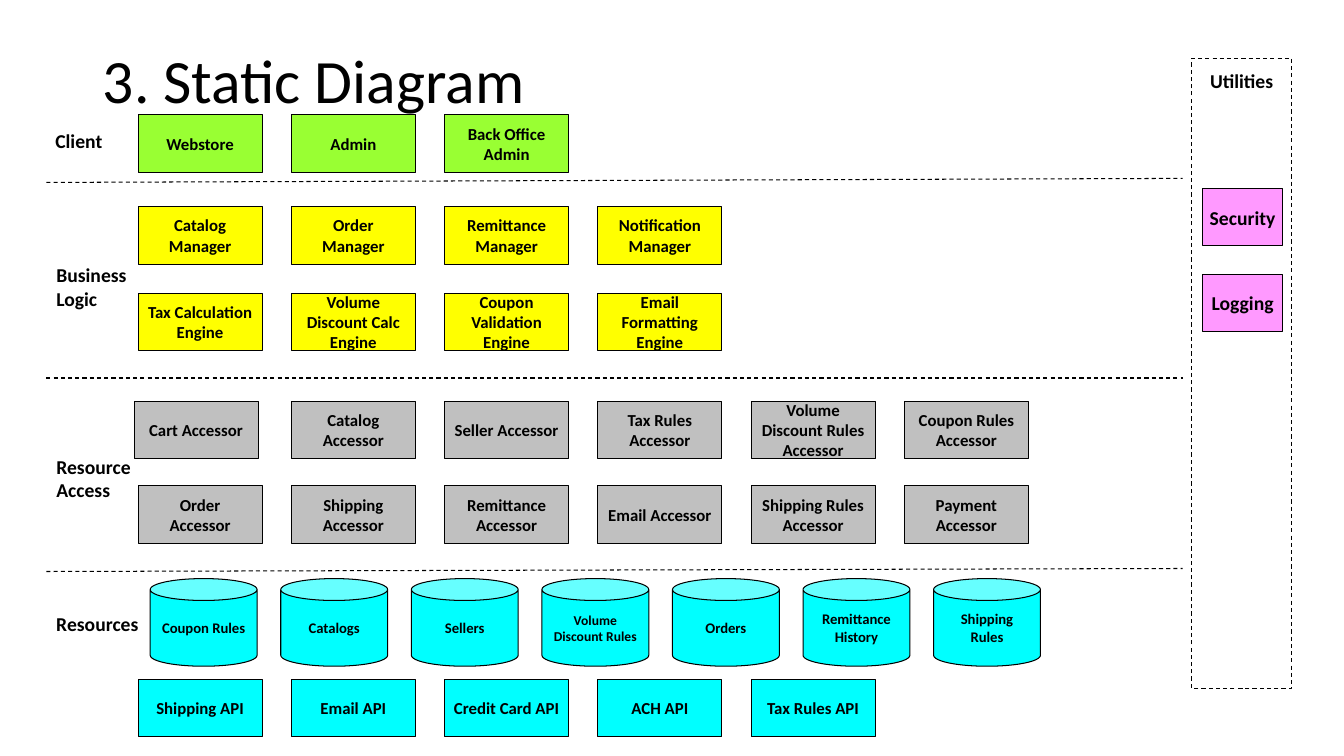
from dataclasses import dataclass

from lxml.etree import SubElement
from pptx import Presentation
from pptx.dml.color import RGBColor
from pptx.enum.dml import MSO_LINE
from pptx.enum.shapes import MSO_CONNECTOR, MSO_SHAPE
from pptx.enum.text import MSO_ANCHOR, MSO_AUTO_SIZE, PP_ALIGN
from pptx.oxml.ns import qn
from pptx.util import Inches, Pt


@dataclass(frozen=True)
class Theme:
    font: str = "Calibri"
    ink: RGBColor = RGBColor(0, 0, 0)
    client: RGBColor = RGBColor(0x99, 0xFF, 0x33)
    logic: RGBColor = RGBColor(0xFF, 0xFF, 0x00)
    access: RGBColor = RGBColor(0xC0, 0xC0, 0xC0)
    resource: RGBColor = RGBColor(0x00, 0xFF, 0xFF)
    utility: RGBColor = RGBColor(0xFF, 0x99, 0xFF)
    title_size: float = 44
    label_size: float = 14
    box_size: float = 12
    store_size: float = 10.5
    small_store_size: float = 9.7
    line_width: float = 0.75


theme = Theme()


def write(frame, text, size, bold=True, align=PP_ALIGN.LEFT):
    frame.text = text
    for para in frame.paragraphs:
        para.alignment = align
        for span in para.runs:
            span.font.name = theme.font
            span.font.size = Pt(size)
            span.font.bold = bold
            span.font.color.rgb = theme.ink


def add_box(kind, left, top, width, height, fill, text, size, wrap=True):
    box = page.shapes.add_shape(kind, Inches(left), Inches(top), Inches(width), Inches(height))
    box.shadow.inherit = False
    if fill is None:
        box.fill.background()
    else:
        box.fill.solid()
        box.fill.fore_color.rgb = fill
    box.line.color.rgb = theme.ink
    box.line.width = Pt(theme.line_width)
    frame = box.text_frame
    frame.word_wrap = wrap
    frame.vertical_anchor = MSO_ANCHOR.MIDDLE
    frame.margin_left = frame.margin_right = Pt(6.7)
    write(frame, text, size, align=PP_ALIGN.CENTER)
    return box


deck = Presentation()
deck.slide_width = Inches(13.33)
deck.slide_height = Inches(7.5)
page = deck.slides.add_slide(deck.slide_layouts[5])

title = page.shapes.title
title.left, title.top = Inches(0.92), Inches(0.4)
title.width, title.height = Inches(11.5), Inches(0.85)
title.text_frame.auto_size = MSO_AUTO_SIZE.NONE
title.text_frame.vertical_anchor = MSO_ANCHOR.MIDDLE
write(title.text_frame, "3. Static Diagram", theme.title_size, bold=False)
title.text_frame.paragraphs[0].line_spacing = 0.9

for start, end in [(1.81, 1.77), (3.75, 3.75), (5.67, 5.64)]:
    divider = page.shapes.add_connector(
        MSO_CONNECTOR.STRAIGHT, Inches(0.46), Inches(start), Inches(11.73), Inches(end)
    )
    divider.line.color.rgb = theme.ink
    divider.line.width = Pt(theme.line_width)
    divider.line.dash_style = MSO_LINE.DASH
    SubElement(divider.element.spPr, qn("a:effectLst"))

layer_labels = [
    ("Client", 0.45, 1.23, 0.68, 0.34),
    ("Business\nLogic", 0.46, 2.56, 0.91, 0.57),
    ("Resource\nAccess", 0.46, 4.46, 0.95, 0.57),
    ("Resources", 0.46, 6.02, 1.03, 0.34),
]
for text, left, top, width, height in layer_labels:
    label = page.shapes.add_textbox(Inches(left), Inches(top), Inches(width), Inches(height))
    label.text_frame.word_wrap = False
    label.text_frame.auto_size = MSO_AUTO_SIZE.SHAPE_TO_FIT_TEXT
    write(label.text_frame, text, theme.label_size)

utilities = add_box(
    MSO_SHAPE.RECTANGLE, 11.82, 0.58, 0.99, 6.25, None, "Utilities", theme.label_size, False
)
utilities.line.dash_style = MSO_LINE.DASH
utilities.text_frame.vertical_anchor = MSO_ANCHOR.TOP
utilities.text_frame.margin_top = Inches(0.1)
for top, name in [(1.87, "Security"), (2.72, "Logging")]:
    add_box(
        MSO_SHAPE.RECTANGLE, 11.93, top, 0.79, 0.57, theme.utility, name, theme.label_size, False
    )

component_rows = [
    (1.14, theme.client, ["Webstore", "Admin", "Back Office\nAdmin"]),
    (2.05, theme.logic, [
        "Catalog Manager", "Order Manager", "Remittance Manager", "Notification Manager",
    ]),
    (2.91, theme.logic, [
        "Tax Calculation Engine", "Volume Discount Calc Engine",
        "Coupon Validation Engine", "Email Formatting Engine",
    ]),
    (3.98, theme.access, [
        "Cart Accessor", "Catalog Accessor", "Seller Accessor",
        "Tax Rules Accessor", "Volume Discount Rules Accessor", "Coupon Rules Accessor",
    ]),
    (4.82, theme.access, [
        "Order Accessor", "Shipping Accessor", "Remittance Accessor",
        "Email Accessor", "Shipping Rules Accessor", "Payment Accessor",
    ]),
    (6.74, theme.resource, [
        "Shipping API", "Email API", "Credit Card API", "ACH API", "Tax Rules API",
    ]),
]
for top, fill, names in component_rows:
    for column, name in enumerate(names):
        left = 1.33 if name == "Cart Accessor" else 1.37 + 1.52 * column
        add_box(MSO_SHAPE.RECTANGLE, left, top, 1.23, 0.57, fill, name, theme.box_size)

stores = [
    "Coupon Rules", "Catalogs", "Sellers", "Volume Discount Rules",
    "Orders", "Remittance History", "Shipping Rules",
]
for column, name in enumerate(stores):
    size = theme.small_store_size if name == "Volume Discount Rules" else theme.store_size
    left = 1.49 + 1.295 * column
    add_box(MSO_SHAPE.CAN, left, 5.74, 1.06, 0.87, theme.resource, name, size)

deck.save("out.pptx")
